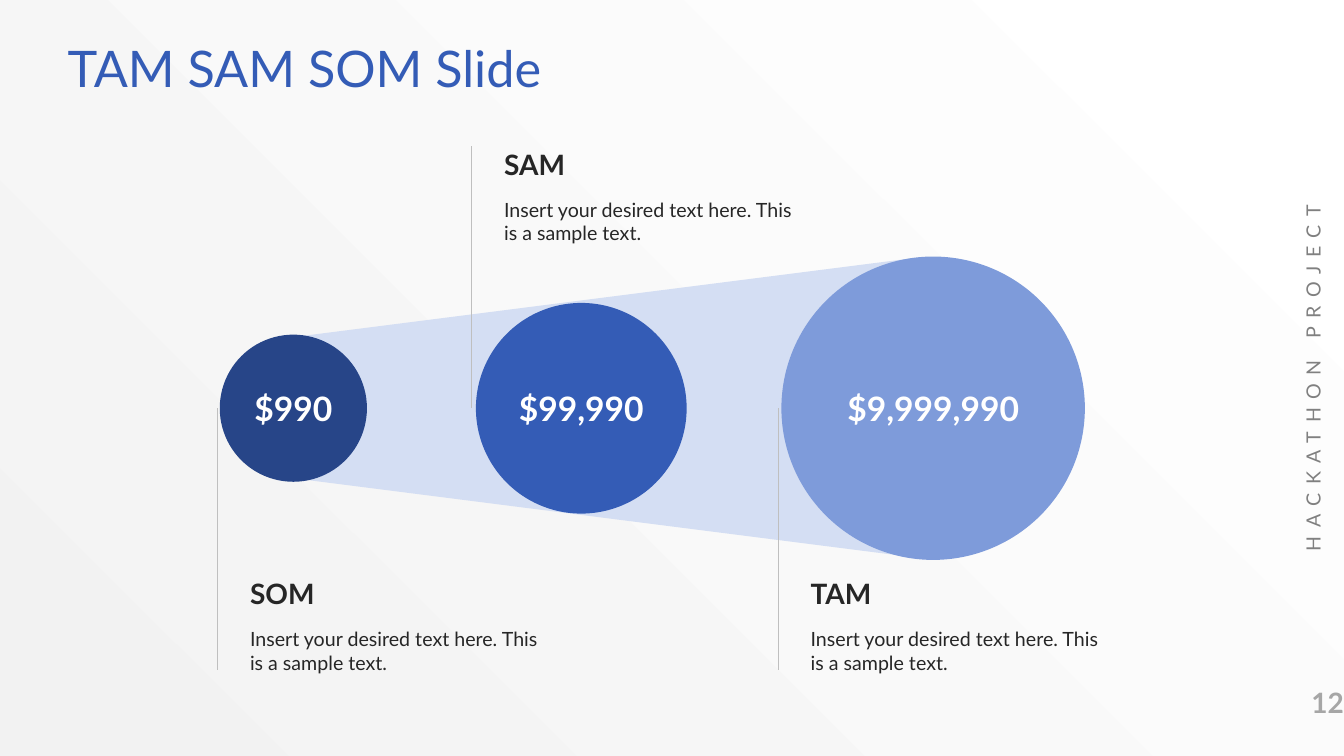
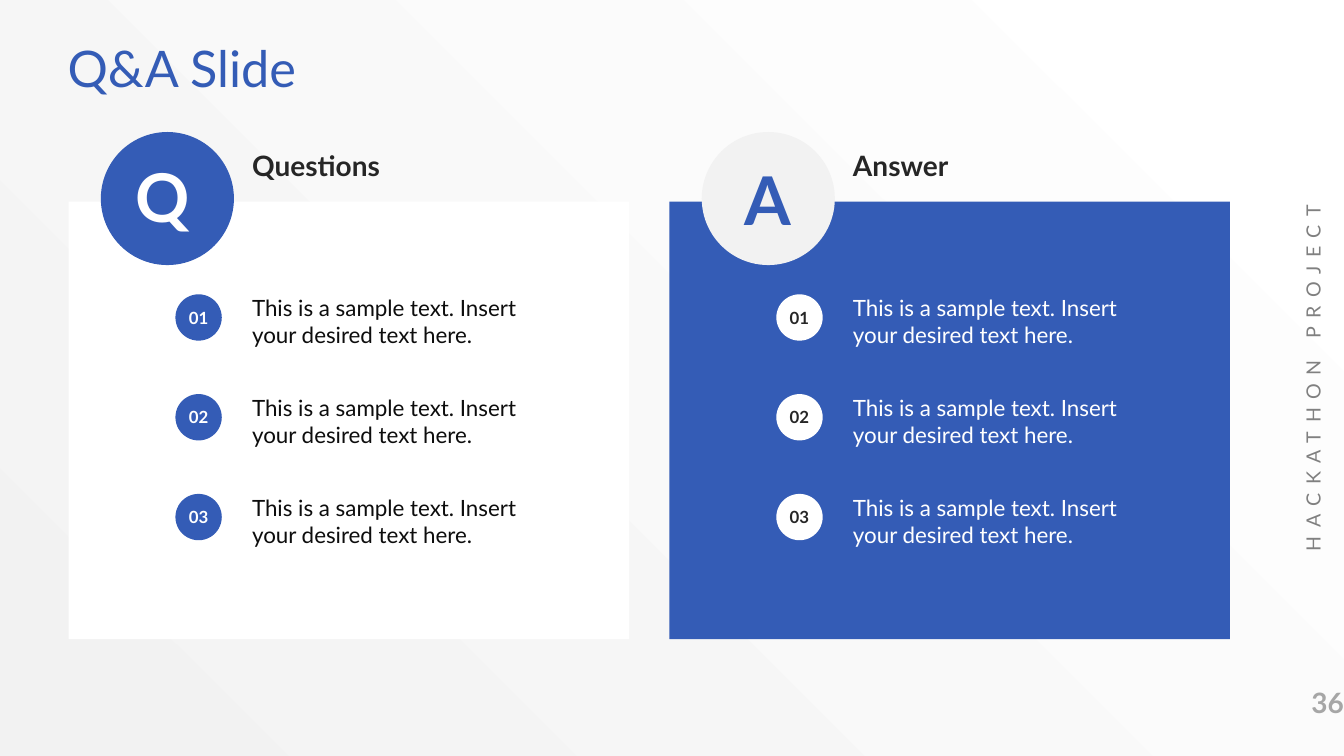
from dataclasses import dataclass

from lxml import etree
from pptx import Presentation
from pptx.dml.color import RGBColor
from pptx.enum.shapes import MSO_CONNECTOR, MSO_SHAPE
from pptx.enum.text import MSO_ANCHOR, MSO_AUTO_SIZE, PP_ALIGN
from pptx.oxml.ns import qn
from pptx.util import Inches, Pt

LEFT, CENTER, RIGHT = PP_ALIGN.LEFT, PP_ALIGN.CENTER, PP_ALIGN.RIGHT
TOP, MIDDLE = MSO_ANCHOR.TOP, MSO_ANCHOR.MIDDLE
OVAL, RECTANGLE = MSO_SHAPE.OVAL, MSO_SHAPE.RECTANGLE
STRAIGHT = MSO_CONNECTOR.STRAIGHT
NO_AUTOFIT = MSO_AUTO_SIZE.NONE
TITLE_ONLY = 5
NO_INSETS = (0, 0, 0, 0)
FRAME_INSETS = (0, 0.07, 0, 0.07)


@dataclass(frozen=True)
class Theme:
    font: str = "Lato"
    # Colours
    blue: str = "345CB6"
    navy: str = "274588"
    light_blue: str = "7E9BDA"
    pale_blue: str = "D4DEF3"
    white: str = "FFFFFF"
    light_gray: str = "F2F2F2"
    line_gray: str = "BFBFBF"
    number_gray: str = "A6A6A6"
    footer_gray: str = "808080"
    heading: str = "262626"
    body: str = "0D0D0D"
    # Type sizes in points
    title_size: int = 36
    letter_size: int = 48
    value_size: int = 24
    heading_size: int = 20
    item_size: int = 16
    label_size: int = 14
    badge_size: int = 12


THEME = Theme()


@dataclass(frozen=True)
class Market:
    name: str
    value: str
    left: float
    diameter: float
    color: str
    line_x: float
    above: bool = False


@dataclass(frozen=True)
class Panel:
    heading: str
    letter: str
    left: float
    fill: str
    circle_fill: str
    letter_color: str
    letter_insets: tuple
    badge_fill: str
    badge_color: str
    text_color: str


MARKETS = (
    Market("SOM", "$990", 2.18, 1.46, THEME.navy, 2.16),
    Market("SAM", "$99,990", 4.72, 2.09, THEME.blue, 4.68, above=True),
    Market("TAM", "$9,999,990", 7.75, 3.01, THEME.light_blue, 7.72),
)
MARKET_TEXT = "Insert your desired text here. This is a sample text."
FUNNEL = ((9.07, 2.56), (9.07, 5.53), (2.87, 4.74), (2.87, 3.35))
MARKET_AXIS = 4.05

PANELS = (
    Panel("Questions", "Q", 0.68, THEME.white, THEME.blue, THEME.white,
          (0, 0, 0.1, 0.05), THEME.blue, THEME.white, THEME.body),
    Panel("Answer", "A", 6.64, THEME.blue, THEME.light_gray, THEME.blue,
          NO_INSETS, THEME.white, THEME.heading, THEME.white),
)
PANEL_TEXT = "This is a sample text. Insert your desired text here."
PANEL_ITEMS = 3
ITEM_TOP, ITEM_PITCH = 2.92, 0.99


def color(value):
    return RGBColor.from_string(value)


def write_text(shape, text, size, text_color, bold=False, align=LEFT,
               anchor=TOP, insets=NO_INSETS):
    """Fill a text frame with one formatted run and return the run."""
    frame = shape.text_frame
    frame.auto_size = NO_AUTOFIT
    frame.word_wrap = True
    frame.vertical_anchor = anchor
    (frame.margin_left, frame.margin_top,
     frame.margin_right, frame.margin_bottom) = map(Inches, insets)
    paragraph = frame.paragraphs[0]
    paragraph.alignment = align
    run = paragraph.add_run()
    run.text = text
    run.font.name = THEME.font
    run.font.size = Pt(size)
    run.font.bold = bold
    run.font.color.rgb = color(text_color)
    return run


def add_text(shapes, box, text, size, text_color, **options):
    shape = shapes.add_textbox(*map(Inches, box))
    run = write_text(shape, text, size, text_color, **options)
    return shape, run


def paint(shape, fill):
    shape.shadow.inherit = False
    shape.fill.solid()
    shape.fill.fore_color.rgb = color(fill)
    shape.line.fill.background()


def add_shape(shapes, kind, box, fill):
    shape = shapes.add_shape(kind, *map(Inches, box))
    paint(shape, fill)
    return shape


def add_circle(shapes, left, top, diameter, fill, text, size, text_color,
               insets=NO_INSETS):
    circle = add_shape(shapes, OVAL, (left, top, diameter, diameter), fill)
    write_text(circle, text, size, text_color, bold=True, align=CENTER,
               anchor=MIDDLE, insets=insets)


def add_vertical_line(shapes, x, top, bottom):
    line = shapes.add_connector(STRAIGHT, *map(Inches, (x, top, x, bottom)))
    line.line.color.rgb = color(THEME.line_gray)
    line.line.width = Pt(0.75)
    etree.SubElement(line._element.spPr, qn("a:effectLst"))


def set_background(master):
    fill = master.background.fill
    fill.gradient()
    fill.gradient_angle = 225
    stops = ((0.04, THEME.white), (1, THEME.light_gray))
    for stop, (position, value) in zip(fill.gradient_stops, stops):
        stop.position = position
        stop.color.rgb = color(value)


def add_slide(presentation, title_text, number):
    """Add a slide with its title, side caption and page number."""
    slide = presentation.slides.add_slide(
        presentation.slide_layouts[TITLE_ONLY])
    title = slide.shapes.title
    title.left, title.top, title.width, title.height = map(
        Inches, (0.67, 0.3, 12, 0.78))
    write_text(title, title_text, THEME.title_size, THEME.blue,
               insets=FRAME_INSETS)

    caption, run = add_text(
        slide.shapes, (10.91, 3.55, 4.22, 0.4), "HACKATHON PROJECT",
        THEME.label_size, THEME.footer_gray, align=CENTER, anchor=MIDDLE,
        insets=FRAME_INSETS)
    caption.rotation = 270
    run.font._element.set("spc", "600")
    add_text(slide.shapes, (12.06, 6.58, 1.27, 0.77), number,
             THEME.heading_size, THEME.number_gray, bold=True, align=RIGHT,
             anchor=MIDDLE, insets=FRAME_INSETS)
    return slide


def add_funnel(shapes):
    points = [(Inches(x), Inches(y)) for x, y in FUNNEL]
    builder = shapes.build_freeform(*points[0])
    builder.add_line_segments(points[1:], close=True)
    paint(builder.convert_to_shape(), THEME.pale_blue)


def add_market(shapes, market):
    add_circle(shapes, market.left, MARKET_AXIS - market.diameter / 2,
               market.diameter, market.color, market.value,
               THEME.value_size, THEME.white)
    line_top = 1.45 if market.above else MARKET_AXIS
    add_vertical_line(shapes, market.line_x, line_top, line_top + 2.6)

    # Name and description beside the line
    label = shapes.add_group_shape().shapes
    left = market.line_x + 0.32
    top = 1.46 if market.above else 5.72
    add_text(label, (left, top, 2.87, 0.4), market.name,
             THEME.heading_size, THEME.heading, bold=True)
    add_text(label, (left, top + 0.5, 2.87, 0.56), MARKET_TEXT,
             THEME.label_size, THEME.heading)


def add_panel(shapes, panel):
    group = shapes.add_group_shape().shapes
    text_left = panel.left + 1.82
    add_shape(group, RECTANGLE, (panel.left, 2, 5.56, 4.34), panel.fill)
    add_circle(group, panel.left + 0.32, 1.31, 1.32, panel.circle_fill,
               panel.letter, THEME.letter_size, panel.letter_color,
               panel.letter_insets)
    add_text(group, (text_left, 1.45, 3.29, 0.37), panel.heading,
             THEME.heading_size, THEME.heading, bold=True, anchor=MIDDLE)

    # Numbered items
    for index in range(PANEL_ITEMS):
        top = ITEM_TOP + index * ITEM_PITCH
        add_circle(group, panel.left + 1.06, top, 0.46, panel.badge_fill,
                   f"{index + 1:02}", THEME.badge_size, panel.badge_color)
        add_text(group, (text_left, top, 2.68, 0.57), PANEL_TEXT,
                 THEME.item_size, panel.text_color)


def main():
    presentation = Presentation()
    presentation.slide_width = Inches(13.33)
    presentation.slide_height = Inches(7.5)
    set_background(presentation.slide_master)

    # Market sizes
    slide = add_slide(presentation, "TAM SAM SOM Slide", "12")
    add_funnel(slide.shapes)
    for market in MARKETS:
        add_market(slide.shapes, market)

    # Questions and answers
    slide = add_slide(presentation, "Q&A Slide", "36")
    for panel in PANELS:
        add_panel(slide.shapes, panel)

    presentation.save("out.pptx")


if __name__ == "__main__":
    main()
